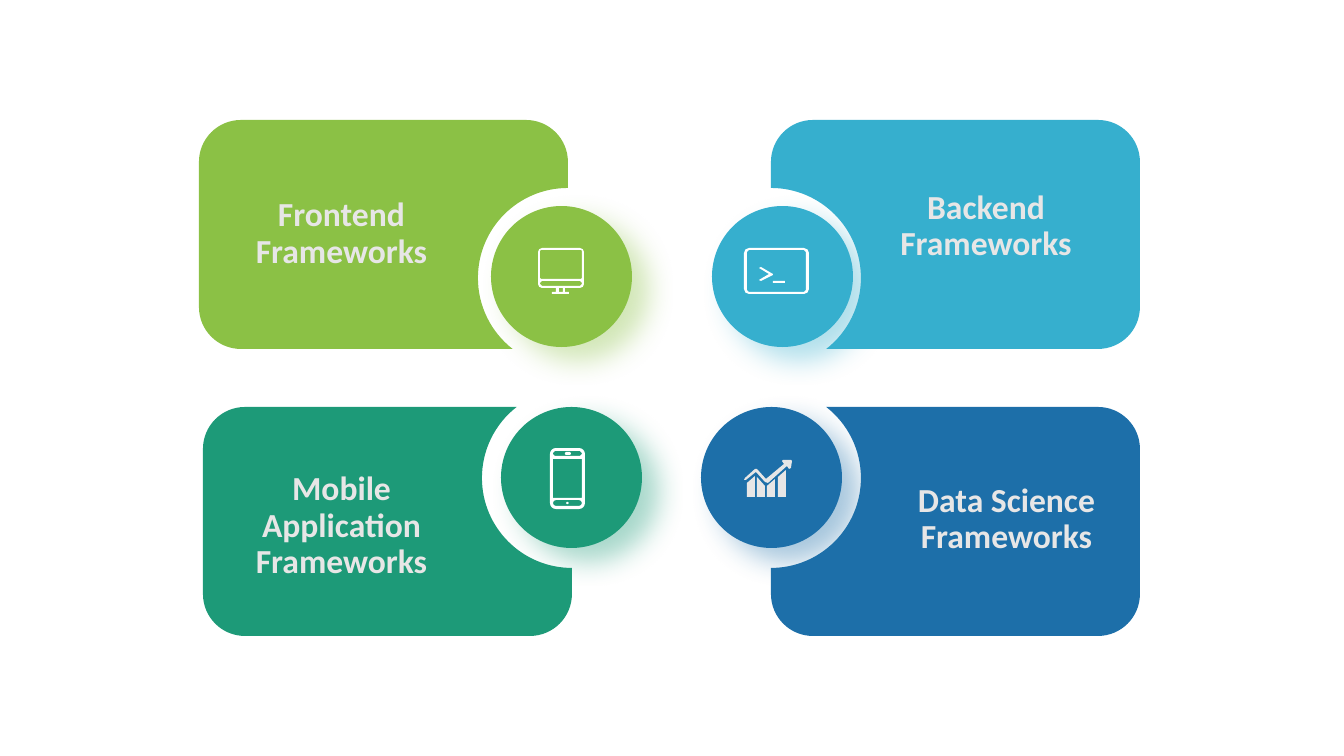
from math import asin, cos, degrees, radians, sin, tan

from lxml.etree import SubElement
from pptx import Presentation
from pptx.dml.color import RGBColor
from pptx.enum.shapes import MSO_SHAPE as Shape
from pptx.enum.text import PP_ALIGN as Align
from pptx.oxml.ns import qn
from pptx.util import Pt

PX = 914400 / 100.8
COLORS = {
    "green": "8BC145", "cyan": "36AFCE", "teal": "1D9A78", "blue": "1D6FA9",
    "white": "FFFFFF", "pale": "E7E6E6",
}
PANEL_W, PANEL_H, CORNER = 369, 229, 42
NOTCH_Y, NOTCH_R = 71, 90
BADGE = 141
LABEL_FONT = {"name": "Calibri", "size": Pt(24), "bold": True}
LABEL_PARAGRAPH = {"alignment": Align.CENTER, "line_spacing": 0.9, "space_before": Pt(10)}


def emu(px):
    return round(px * PX)


def paint(shape, color):
    shape.shadow.inherit = False
    shape.fill.solid()
    shape.fill.fore_color.rgb = RGBColor.from_string(COLORS[color])
    shape.line.fill.background()


def lines(*points):
    return [(point,) for point in points]


def arc(cx, cy, r, start, end):
    """A line to the start of an arc, then one Bezier curve; degrees clockwise."""
    a, b = radians(start), radians(end)
    k = 4 / 3 * tan((b - a) / 4)
    first = (cx + r * cos(a), cy + r * sin(a))
    last = (cx + r * cos(b), cy + r * sin(b))
    pull = (first[0] - k * r * sin(a), first[1] + k * r * cos(a))
    push = (last[0] + k * r * sin(b), last[1] - k * r * cos(b))
    return [(first,), (pull, push, last)]


def box(x, y, w, h):
    return lines((x, y), (x + w, y), (x + w, y + h), (x, y + h))


def round_box(x, y, w, h, r):
    return (arc(x + r, y + r, r, 180, 270) + arc(x + w - r, y + r, r, 270, 360)
            + arc(x + w - r, y + h - r, r, 0, 90) + arc(x + r, y + h - r, r, 90, 180))


def add_outline(slide, left, top, contours, color):
    """Draw closed contours as one shape; a contour inside another is a hole."""
    placed = [[[(emu(left + x), emu(top + y)) for x, y in segment] for segment in contour]
              for contour in contours]
    builder = slide.shapes.build_freeform(*placed[0][0][-1], scale=1.0)
    for number, contour in enumerate(placed):
        if number:
            builder.move_to(*contour[0][-1])
        builder.add_line_segments([segment[-1] for segment in contour[1:]], close=True)
    shape = builder.convert_to_shape()
    drawn = [segment for contour in placed for segment in contour[1:]]
    for step, segment in zip(list(shape._element.iter(qn("a:lnTo"))), drawn):
        if len(segment) == 3:
            bend(step, segment[:2], shape.left, shape.top)
    paint(shape, color)


def bend(step, controls, left, top):
    """Turn a line of a path into a curve with two control points."""
    end = step[0]
    step.tag = qn("a:cubicBezTo")
    for x, y in controls:
        SubElement(step, qn("a:pt"), x=str(x - left), y=str(y - top))
    step.append(end)


def monitor_icon():
    return [round_box(0, 0, 46, 40, 4), round_box(2, 2, 42, 29, 1), round_box(2, 33, 42, 5, 2),
            box(18, 40, 3, 4), box(25, 40, 2, 4), box(14, 44, 17, 2)]


def terminal_icon():
    prompt = lines((15, 20), (17, 19), (29, 26), (29, 27), (17, 33), (15, 32), (25, 26))
    return [round_box(0, 0, 65, 46, 5), round_box(3, 2, 59, 42, 2), prompt, box(29, 33, 12, 2)]


def phone_icon():
    return [round_box(0, 0, 35, 61, 6), round_box(3, 3, 29, 5, 2), box(3, 11, 29, 39),
            round_box(3, 52, 29, 6, 3), round_box(15, 4, 6, 3, 1), round_box(16, 54, 3, 2, 1)]


def growth_icon():
    trend = lines((0, 20), (1, 18), (11, 9), (13, 9), (22, 19), (40, 4), (38, 1), (39, 0),
                  (47, 0), (48, 1), (47, 8), (45, 9), (43, 6), (24, 23), (21, 22),
                  (12, 12), (2, 20))
    bars = [(3, 23, 16), (13, 17, 26), (23, 26, 19), (34, 17, 10)]
    return [trend] + [lines((x, left), (x + 8, right), (x + 8, 37), (x, 37))
                      for x, left, right in bars]


def add_panel(slide, left, top, notch_right, notch_low, color):
    notch_end = -degrees(asin(NOTCH_Y / NOTCH_R))
    right, bottom = PANEL_W - CORNER, PANEL_H - CORNER
    contour = (arc(0, NOTCH_Y, NOTCH_R, 90, 0)
               + arc(0, NOTCH_Y, NOTCH_R, 0, notch_end)[1:]
               + arc(right, CORNER, CORNER, 270, 360)
               + arc(right, bottom, CORNER, 0, 90)
               + arc(CORNER, bottom, CORNER, 90, 180))
    contour = [[(PANEL_W - x if notch_right else x, PANEL_H - y if notch_low else y)
                for x, y in segment] for segment in contour]
    add_outline(slide, left, top, [contour], color)


def add_badge(slide, left, top, color):
    badge = slide.shapes.add_shape(Shape.OVAL, emu(left), emu(top), emu(BADGE), emu(BADGE))
    paint(badge, color)
    effects = badge._element.spPr.find(qn("a:effectLst"))
    shadow = SubElement(effects, qn("a:outerShdw"), blurRad=str(Pt(20)), dist=str(Pt(15)),
                        dir="2400000", algn="ctr", rotWithShape="0")
    tint = SubElement(shadow, qn("a:srgbClr"), val=COLORS[color])
    SubElement(tint, qn("a:alpha"), val="38000")


def add_label(slide, left, top, width, height, words):
    frame = slide.shapes.add_textbox(emu(left), emu(top), emu(width), emu(height)).text_frame
    frame.word_wrap = True
    paragraph = frame.paragraphs[0]
    for key, value in LABEL_PARAGRAPH.items():
        setattr(paragraph, key, value)
    run = paragraph.add_run()
    run.text = words
    for key, value in LABEL_FONT.items():
        setattr(run.font, key, value)
    run.font.color.rgb = RGBColor.from_string(COLORS["pale"])


def add_topic(slide, left, top, topic):
    """Place one panel with its badge, icon and label; offsets are from its corner."""
    badge_x, badge_y = topic["badge"]
    icon_x, icon_y = topic["icon_at"]
    label_x, label_y, label_w, label_h = topic["label"]
    add_badge(slide, left + badge_x, top + badge_y, topic["color"])
    add_panel(slide, left, top, badge_x > 0, badge_y > 0, topic["color"])
    add_label(slide, left + label_x, top + label_y, label_w, label_h, topic["words"])
    add_outline(slide, left + badge_x + icon_x, top + badge_y + icon_y,
                topic["icon"](), topic["icon_color"])


TOPICS = [
    {"at": (199, 120), "words": "Frontend Frameworks", "color": "green",
     "badge": (292, 86), "label": (14, 73, 257, 41),
     "icon": monitor_icon, "icon_at": (47, 42), "icon_color": "white"},
    {"at": (771, 120), "words": "Backend Frameworks", "color": "cyan",
     "badge": (-59, 86), "label": (79, 65, 272, 41),
     "icon": terminal_icon, "icon_at": (32, 42), "icon_color": "white"},
    {"at": (203, 407), "words": "Mobile Application Frameworks", "color": "teal",
     "badge": (298, 0), "label": (7, 60, 263, 53),
     "icon": phone_icon, "icon_at": (49, 41), "icon_color": "white"},
    {"at": (771, 407), "words": "Data Science Frameworks", "color": "blue",
     "badge": (-70, 0), "label": (102, 71, 267, 41),
     "icon": growth_icon, "icon_at": (43, 53), "icon_color": "pale"},
]


def main():
    deck = Presentation()
    deck.slide_width, deck.slide_height = emu(1344), emu(756)
    slide = deck.slides.add_slide(deck.slide_layouts[6])
    for topic in TOPICS:
        add_topic(slide, *topic["at"], topic)
    deck.save("out.pptx")


if __name__ == "__main__":
    main()
